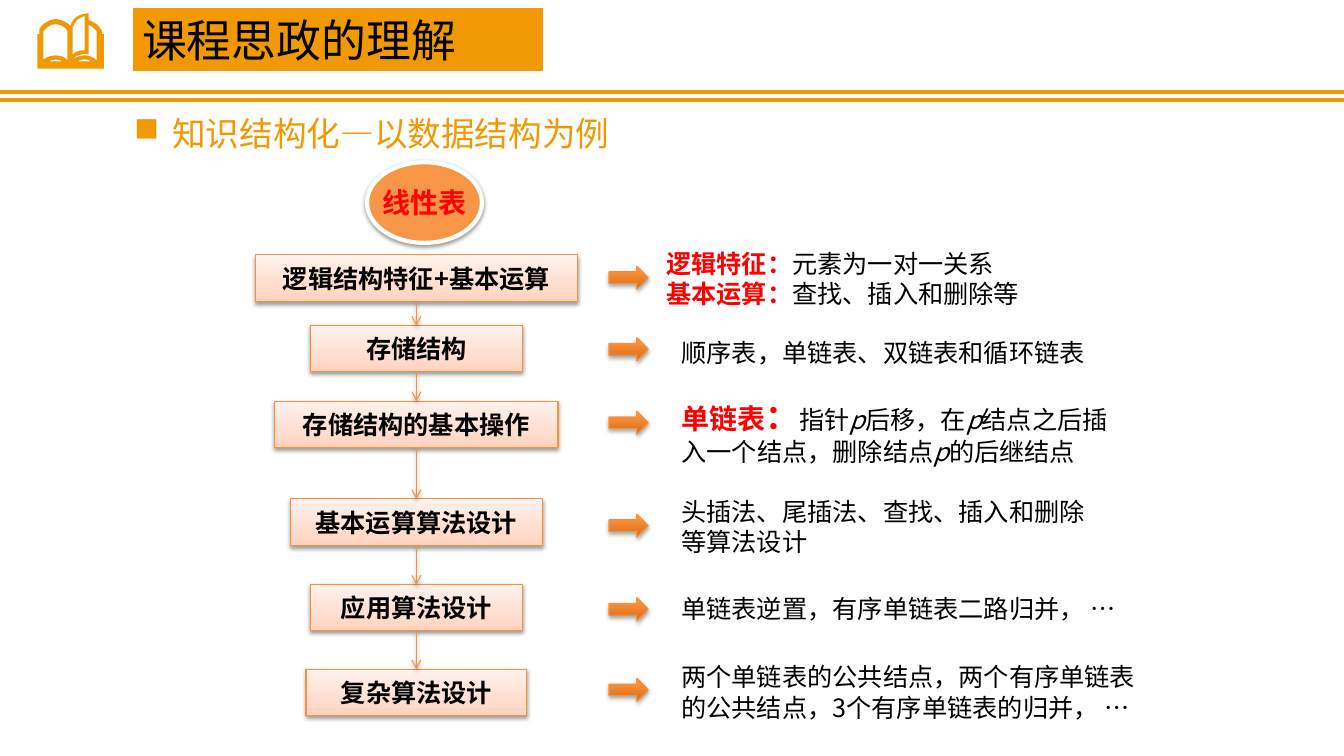
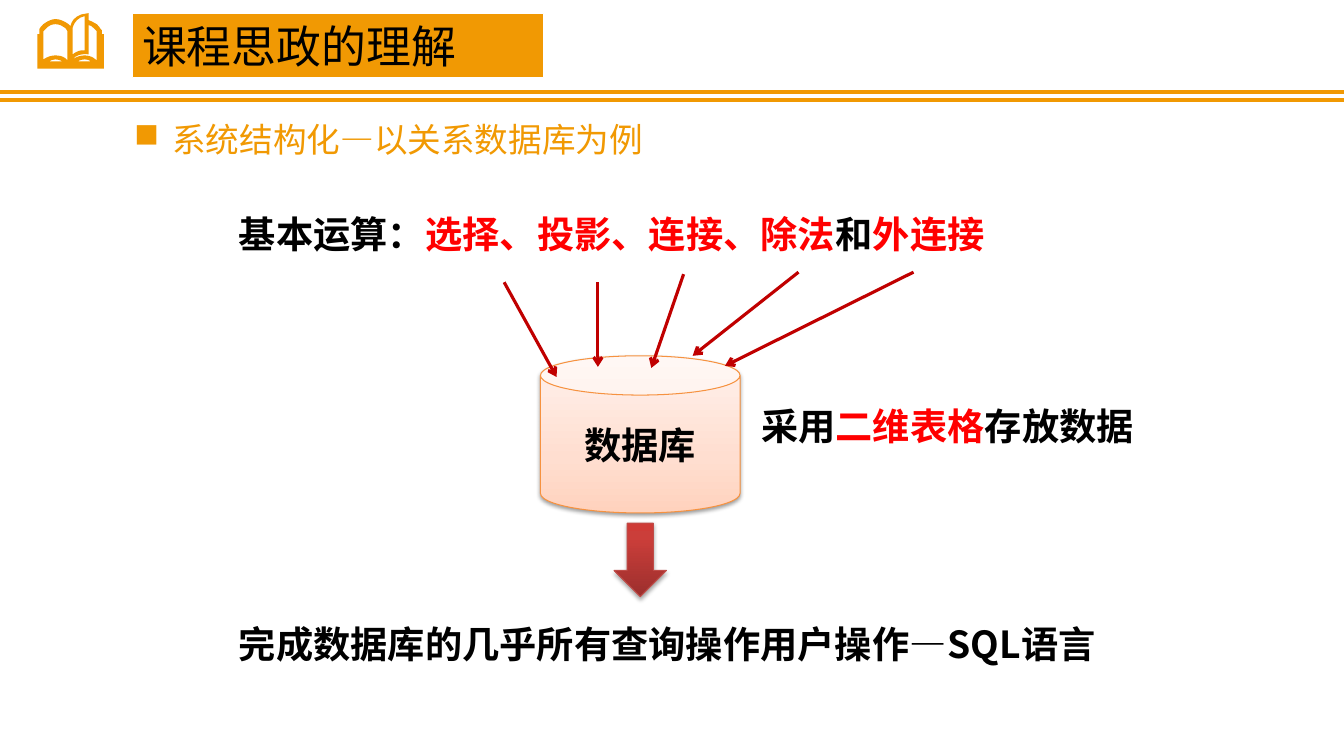
from collections.abc import Iterator, Sequence
from dataclasses import dataclass
from itertools import pairwise

from lxml.etree import SubElement
from pptx import Presentation
from pptx.dml.color import RGBColor
from pptx.enum.shapes import MSO_CONNECTOR, MSO_SHAPE
from pptx.enum.text import MSO_ANCHOR, MSO_AUTO_SIZE, PP_ALIGN
from pptx.oxml.ns import qn
from pptx.shapes.autoshape import Shape
from pptx.shapes.connector import Connector
from pptx.slide import Slide, SlideLayout
from pptx.util import Inches, Pt

FONT = "Noto Sans CJK SC"
ORANGE = RGBColor(0xF1, 0x99, 0x03)
EDGE_ORANGE = RGBColor(0xF6, 0x92, 0x40)
OVAL_ORANGE = RGBColor(0xF7, 0x96, 0x46)
EDGE_RED = RGBColor(0xBF, 0x4C, 0x48)
DARK_RED = RGBColor(0xC0, 0x00, 0x00)
RED = RGBColor(0xFF, 0x00, 0x00)
BLACK = RGBColor(0x00, 0x00, 0x00)
WHITE = RGBColor(0xFF, 0xFF, 0xFF)

Point = tuple[float, float]
Area = tuple[float, float, float, float]


@dataclass(frozen=True)
class Gradient:
    """Bottom-to-top colour stops, given in percent, with a matching edge."""

    stops: tuple[tuple[int, RGBColor], ...]
    edge: RGBColor


@dataclass(frozen=True)
class Shadow:
    """A shadow falling straight down."""

    distance: float
    opacity: int


@dataclass(frozen=True)
class Span:
    """A stretch of text and what sets it apart from its paragraph."""

    text: str
    color: RGBColor | None = None
    bold: bool | None = None
    italic: bool | None = None
    size: float | None = None


@dataclass(frozen=True)
class Stage:
    """One step of the flow with its arrow and explanation."""

    label: str
    top: float
    width: float
    arrow_top: float
    note_area: Area
    note: tuple[tuple[Span, ...], ...]
    line_points: float | None = None


PEACH = Gradient(
    ((0, RGBColor(0xFF, 0xD2, 0xBD)), (35, RGBColor(0xFF, 0xDE, 0xD0)), (100, RGBColor(0xFF, 0xF2, 0xED))),
    EDGE_ORANGE,
)
AMBER = Gradient(
    ((0, RGBColor(0xCC, 0x6E, 0x20)), (80, RGBColor(0xFF, 0x90, 0x34)), (100, RGBColor(0xFF, 0x91, 0x36))),
    EDGE_ORANGE,
)
CRIMSON = Gradient(
    ((0, RGBColor(0x9C, 0x2F, 0x2D)), (80, RGBColor(0xCB, 0x3E, 0x3A)), (100, RGBColor(0xCE, 0x3B, 0x37))),
    EDGE_RED,
)
SOFT = Shadow(1.6, 38)
DEEP = Shadow(1.8, 35)

BOOK_OUTLINES: tuple[tuple[tuple[int, ...], ...], ...] = (
    ((101, 34), (101, 30), (100, 29), (100, 29, 99, 27, 96, 24), (94, 23, 91, 21, 88, 20),
     (88, 13), (71, 14, 70, 26, 70, 26), (68, 24), (65, 22, 61, 19, 55, 19),
     (50, 19, 46, 22, 43, 24), (40, 27, 39, 29, 39, 29), (39, 34), (37, 34), (37, 68),
     (103, 68), (103, 34)),
    ((49, 61), (50, 60, 53, 59, 55, 59), (58, 59, 60, 60, 62, 61)),
    ((67, 60), (65, 57, 61, 55, 55, 55), (50, 55, 46, 57, 43, 59), (43, 31), (46, 28),
     (48, 26, 51, 24, 55, 24), (59, 24, 62, 26, 65, 28), (67, 31)),
    ((84, 16), (84, 50), (84, 50, 78, 49, 72, 54), (72, 28), (72, 28, 74, 18, 84, 16)),
    ((77, 61), (79, 60, 81, 59, 84, 59), (87, 59, 89, 60, 90, 61)),
    ((96, 60), (93, 57, 89, 55, 84, 55), (79, 55, 75, 57, 72, 59), (77, 52, 88, 54, 88, 54),
     (88, 25), (90, 25, 92, 27, 93, 28), (96, 31)),
)

AXIS = 4.13
STAGE_HEIGHT = 0.46
STAGES = (
    Stage("逻辑结构特征+基本运算", 2.53, 3.2, 2.64, (6.51, 2.4, 3.98, 0.72), (
        (Span("逻辑特征：", RED, True), Span("元素为一对一关系")),
        (Span("基本运算：", RED, True), Span("查找、插入和删除等")),
    ), 22),
    Stage("存储结构", 3.23, 2.11, 3.35, (6.66, 3.18, 4.38, 0.52),
          ((Span("顺序表，单链表、双链表和循环链表"),),), 30),
    Stage("存储结构的基本操作", 3.98, 2.81, 4.08, (6.66, 3.87, 4.61, 0.81), ((
        Span("单链表", RED, True, size=20), Span("：", RED, True, size=24), Span("指针"),
        Span("p", italic=True), Span("后移，在"), Span("p", italic=True),
        Span("结点之后插入一个结点，删除结点"), Span("p", italic=True), Span("的后继结点"),
    ),)),
    Stage("基本运算算法设计", 4.95, 2.5, 5.1, (6.66, 4.87, 4.3, 0.71),
          ((Span("头插法、尾插法、查找、插入和删除等算法设计"),),)),
    Stage("应用算法设计", 5.8, 2.11, 5.93, (6.66, 5.84, 4.77, 0.4),
          ((Span("单链表逆置，有序单链表二路归并， …"),),)),
    Stage("复杂算法设计", 6.64, 2.19, 6.73, (6.66, 6.51, 4.77, 0.71),
          ((Span("两个单链表的公共结点，两个有序单链表的公共结点，3个有序单链表的归并， …"),),)),
)

STATEMENT_SIZE = 26.6
STATEMENTS: tuple[tuple[Area, tuple[Span, ...]], ...] = (
    ((7.45, 3.95, 4.69, 0.55), (Span("采用"), Span("二维表格", RED), Span("存放数据"))),
    ((2.27, 2.04, 9.27, 0.55),
     (Span("基本运算："), Span("选择、投影、连接、除法", RED), Span("和"), Span("外连接", RED))),
    ((2.27, 6.11, 9.36, 0.55), (Span("完成数据库的几乎所有查询操作用户操作—SQL语言"),)),
)
OPERATION_ARROWS: tuple[tuple[Point, Point], ...] = (
    ((5, 2.8), (5.52, 3.74)),
    ((5.93, 2.8), (5.93, 3.64)),
    ((6.78, 2.72), (6.46, 3.65)),
    ((7.92, 2.7), (6.87, 3.53)),
    ((9.06, 2.7), (7.19, 3.63)),
)


def write(box: Shape, lines: Sequence[Sequence[Span]], size: float, bold: bool = False,
          color: RGBColor = BLACK, align: PP_ALIGN = PP_ALIGN.LEFT,
          line_points: float | None = None, bullet: bool = False) -> None:
    """Fill a shape with styled paragraphs, centred vertically."""
    frame = box.text_frame
    frame.word_wrap = True
    frame.auto_size = MSO_AUTO_SIZE.NONE
    frame.vertical_anchor = MSO_ANCHOR.MIDDLE
    for index, spans in enumerate(lines):
        paragraph = frame.add_paragraph() if index else frame.paragraphs[0]
        paragraph.alignment = align
        paragraph.space_before = Pt(0)
        if line_points:
            paragraph.line_spacing = Pt(line_points)
        properties = paragraph._p.get_or_add_pPr()
        if bullet:
            properties.set("marL", str(Inches(0.38)))
            properties.set("indent", str(-Inches(0.38)))
            SubElement(properties, qn("a:buFont"), typeface="Wingdings")
            SubElement(properties, qn("a:buChar"), char="n")
        paragraph.font.name = FONT
        paragraph.font.size = Pt(size)
        paragraph.font.bold = bold
        paragraph.font.color.rgb = color
        SubElement(properties.find(qn("a:defRPr")), qn("a:ea"), typeface=FONT)
        for span in spans:
            run = paragraph.add_run()
            run.text = span.text
            run.font.bold = span.bold
            run.font.italic = span.italic
            if span.size:
                run.font.size = Pt(span.size)
            if span.color is not None:
                run.font.color.rgb = span.color


def add_shadow(effects: object, shadow: Shadow) -> None:
    """Put an outer shadow into an effect list."""
    outer = SubElement(effects, qn("a:outerShdw"), blurRad=str(Pt(3.1)), dist=str(Pt(shadow.distance)),
                       dir="5400000", rotWithShape="0")
    tint = SubElement(outer, qn("a:srgbClr"), val=str(BLACK))
    SubElement(tint, qn("a:alpha"), val=str(shadow.opacity * 1000))


def add_figure(page: Slide, kind: MSO_SHAPE, area: Area, paint: Gradient | RGBColor,
               shadow: Shadow) -> Shape:
    """Add a preset shape with a gradient or plain fill and a shadow."""
    figure = page.shapes.add_shape(kind, *map(Inches, area))
    if isinstance(paint, Gradient):
        figure.fill.gradient()
        figure.fill.gradient_angle = 90
        stop_list = figure.element.spPr.find(".//" + qn("a:gsLst"))
        for old_stop in list(stop_list):
            stop_list.remove(old_stop)
        for percent, color in paint.stops:
            stop = SubElement(stop_list, qn("a:gs"), pos=str(percent * 1000))
            SubElement(stop, qn("a:srgbClr"), val=str(color))
        figure.line.color.rgb = paint.edge
        figure.line.width = Pt(0.75)
    else:
        figure.fill.solid()
        figure.fill.fore_color.rgb = paint
        figure.line.color.rgb = WHITE
        figure.line.width = Pt(3)
    figure.shadow.inherit = False
    add_shadow(figure.element.spPr.find(qn("a:effectLst")), shadow)
    return figure


def add_line(page: Slide, start: Point, end: Point, color: RGBColor, width: float,
             arrow: bool = True, shadow: Shadow | None = None) -> Connector:
    """Draw a straight line, with an arrowhead at its end if wanted."""
    line = page.shapes.add_connector(MSO_CONNECTOR.STRAIGHT, *map(Inches, start + end))
    line.line.color.rgb = color
    line.line.width = Pt(width)
    properties = line._element.spPr
    if arrow:
        SubElement(properties.find(qn("a:ln")), qn("a:tailEnd"), type="arrow")
    effects = SubElement(properties, qn("a:effectLst"))
    if shadow:
        add_shadow(effects, shadow)
    return line


def add_text(page: Slide, area: Area, lines: Sequence[Sequence[Span]], size: float,
             bold: bool = False, line_points: float | None = None) -> None:
    """Add a text box."""
    write(page.shapes.add_textbox(*map(Inches, area)), lines, size, bold, line_points=line_points)


def flatten(outline: Sequence[tuple[int, ...]], steps: int = 6) -> Iterator[Point]:
    """Turn corners and cubic curves into points in thousandths of an inch."""
    x, y = outline[0]
    for part in outline:
        if len(part) == 2:
            x, y = part
            yield x * 10, y * 10
            continue
        x1, y1, x2, y2, x3, y3 = part
        for t in (step / steps for step in range(1, steps + 1)):
            weights = ((1 - t) ** 3, 3 * t * (1 - t) ** 2, 3 * t * t * (1 - t), t ** 3)
            yield (10 * sum(w * v for w, v in zip(weights, (x, x1, x2, x3))),
                   10 * sum(w * v for w, v in zip(weights, (y, y1, y2, y3))))
        x, y = x3, y3


def add_book(page: Slide) -> Shape:
    """Draw the open book."""
    first, *others = [list(flatten(outline)) for outline in BOOK_OUTLINES]
    builder = page.shapes.build_freeform(*first[0], scale=Inches(1) / 1000)
    builder.add_line_segments(first[1:])
    for points in others:
        builder.move_to(*points[0])
        builder.add_line_segments(points[1:])
    book = builder.convert_to_shape()
    book.fill.solid()
    book.fill.fore_color.rgb = ORANGE
    book.line.fill.background()
    book.shadow.inherit = False
    return book


def decorate(layout: SlideLayout, page: Slide) -> None:
    """Give the layout the double rule and book, drawn by way of a page."""
    for placeholder in list(layout.placeholders):
        if placeholder.placeholder_format.idx >= 10:
            layout.shapes.element.remove(placeholder.element)
    rules = [add_line(page, (0, y), (13.33, y), ORANGE, 3, arrow=False) for y in (0.91, 0.99)]
    for part in (*rules, add_book(page)):
        layout.shapes.element.append(part._element)


def add_heading(page: Slide, top: float, topic: str) -> None:
    """Place the title band and the bulleted topic below it."""
    title, body = page.shapes.title, page.placeholders[1]
    for box, area in ((title, (1.31, top, 4.08, 0.64)), (body, (1.23, top + 1, 6.35, 0.5))):
        box.left, box.top, box.width, box.height = map(Inches, area)
    title.fill.solid()
    title.fill.fore_color.rgb = ORANGE
    title.line.color.rgb = WHITE
    title.line.width = Pt(0.75)
    write(title, [[Span("课程思政的理解")]], 32)
    write(body, [[Span(topic)]], 24, color=ORANGE, bullet=True)


def fill_structure_page(page: Slide) -> None:
    """Draw the flow from logical structure to complex algorithms."""
    add_heading(page, 0.07, "知识结构化—以数据结构为例")
    for stage in STAGES:
        area = (AXIS - stage.width / 2, stage.top, stage.width, STAGE_HEIGHT)
        box = add_figure(page, MSO_SHAPE.RECTANGLE, area, PEACH, SOFT)
        write(box, [[Span(stage.label)]], 18, bold=True, align=PP_ALIGN.CENTER)
        add_text(page, stage.note_area, stage.note, 18, line_points=stage.line_points)
        add_figure(page, MSO_SHAPE.RIGHT_ARROW, (6.04, stage.arrow_top, 0.39, 0.23), AMBER, DEEP)
    for upper, lower in pairwise(STAGES):
        add_line(page, (AXIS, upper.top + STAGE_HEIGHT), (AXIS, lower.top), EDGE_ORANGE, 0.75, shadow=SOFT)
    oval = add_figure(page, MSO_SHAPE.OVAL, (3.64, 1.61, 1.14, 0.8), OVAL_ORANGE, SOFT)
    write(oval, [[Span("线性表")]], 20, bold=True, color=RED, align=PP_ALIGN.CENTER)
    oval.text_frame.word_wrap = False


def fill_database_page(page: Slide) -> None:
    """Draw the operations feeding the database and its query language."""
    add_heading(page, 0.13, "系统结构化—以关系数据库为例")
    database = add_figure(page, MSO_SHAPE.CAN, (5.36, 3.53, 1.98, 1.56), PEACH, SOFT)
    database.adjustments[0] = 0.25
    write(database, [[Span("数据库")]], STATEMENT_SIZE, bold=True, align=PP_ALIGN.CENTER)
    for area, spans in STATEMENTS:
        add_text(page, area, [spans], STATEMENT_SIZE, bold=True)
    for start, end in OPERATION_ARROWS:
        add_line(page, start, end, DARK_RED, 2.25)
    add_figure(page, MSO_SHAPE.DOWN_ARROW, (6.09, 5.19, 0.52, 0.73), CRIMSON, DEEP)


def main() -> None:
    """Build and save the deck."""
    deck = Presentation()
    deck.slide_width, deck.slide_height = Inches(13.33), Inches(7.5)
    layout = deck.slide_layouts[1]
    structure_page, database_page = (deck.slides.add_slide(layout) for _ in range(2))
    decorate(layout, structure_page)
    fill_structure_page(structure_page)
    fill_database_page(database_page)
    deck.save("out.pptx")


if __name__ == "__main__":
    main()
